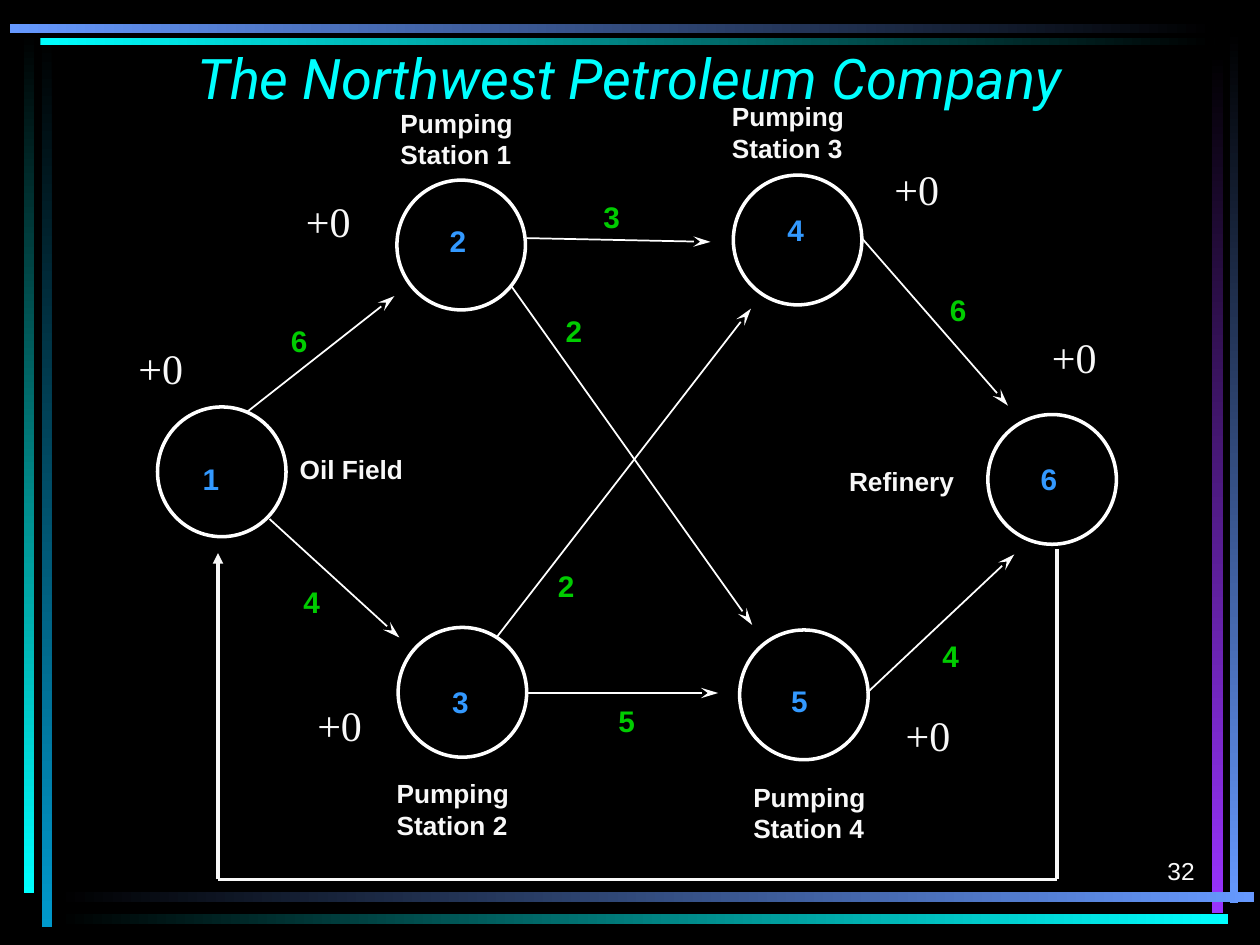
from typing import NamedTuple

from lxml.etree import SubElement
from pptx import Presentation
from pptx.dml.color import RGBColor as Rgb
from pptx.enum.shapes import MSO_CONNECTOR as Link, MSO_SHAPE as Kind
from pptx.enum.text import MSO_ANCHOR as Anchor, PP_ALIGN as Align
from pptx.oxml.ns import qn
from pptx.util import Inches, Pt

HUES = {
    "black": "000000", "white": "FFFFFF", "pale": "F8F8F8", "cyan": "00FFFF",
    "teal": "0099CC", "sky": "6699FF", "purple": "9933FF",
    "blue": "3399FF", "green": "00CC00",
}


class Bar(NamedTuple):
    x: float
    y: float
    w: float
    h: float
    start: str
    end: str


class Node(NamedTuple):
    x: float
    y: float
    num: str
    num_x: float
    num_y: float


class Label(NamedTuple):
    x: float
    y: float
    text: str


class Arc(NamedTuple):
    x1: float
    y1: float
    x2: float
    y2: float


BARS = [
    Bar(0.33, 0.28, 0.08, 7.08, "black", "teal"),
    Bar(0.19, 0.25, 0.08, 6.84, "black", "cyan"),
    Bar(9.76, 0.24, 0.07, 6.93, "black", "sky"),
    Bar(9.62, 0.42, 0.09, 6.83, "black", "purple"),
    Bar(0.45, 7.08, 9.5, 0.08, "black", "sky"),
    Bar(0.45, 7.25, 9.3, 0.08, "black", "cyan"),
    Bar(0.32, 0.3, 9.32, 0.06, "cyan", "black"),
    Bar(0.08, 0.19, 9.56, 0.07, "sky", "black"),
]
NODES = [
    Node(1.25, 3.23, "1", 1.51, 3.61),
    Node(3.15, 1.43, "2", 3.47, 1.72),
    Node(3.16, 4.98, "3", 3.49, 5.38),
    Node(5.82, 1.39, "4", 6.15, 1.63),
    Node(5.87, 5.0, "5", 6.18, 5.37),
    Node(7.84, 3.29, "6", 8.16, 3.61),
]
STATIONS = [
    Label(3.08, 0.8, "Station 1"), Label(3.05, 6.12, "Station 2"),
    Label(5.71, 0.75, "Station 3"), Label(5.88, 6.15, "Station 4"),
]
ENDS = [Label(2.28, 3.55, "Oil Field"), Label(6.64, 3.64, "Refinery")]
ARCS = [
    Arc(1.96, 3.27, 3.13, 2.35), Arc(2.14, 4.12, 3.17, 5.06),
    Arc(4.18, 1.89, 5.64, 1.92), Arc(4.18, 5.5, 5.7, 5.5),
    Arc(6.84, 1.89, 8.0, 3.22), Arc(6.88, 5.5, 8.05, 4.4),
    Arc(4.05, 2.26, 5.97, 4.96), Arc(3.94, 5.06, 5.96, 2.45),
]
FLOWS = [
    Label(2.21, 2.51, "6"), Label(2.31, 4.58, "4"), Label(4.69, 1.53, "3"),
    Label(7.44, 2.27, "6"), Label(7.38, 5.01, "4"), Label(4.81, 5.53, "5"),
    Label(4.39, 2.43, "2"), Label(4.33, 4.46, "2"),
]
GAINS = [(2.33, 1.5), (1, 2.67), (7, 1.25), (8.25, 2.58), (7.09, 5.58), (2.42, 5.5)]
LOOP = [(8.39, 4.36), (8.39, 6.98), (1.73, 6.98), (1.73, 4.39)]


def color(name: str) -> Rgb:
    return Rgb.from_string(HUES[name])


def add_bar(shapes, bar: Bar) -> None:
    """Draw a frame bar that fades along its longer side."""
    shape = shapes.add_shape(Kind.RECTANGLE, *map(Inches, bar[:4]))
    shape.shadow.inherit = False
    shape.line.fill.background()
    shape.fill.gradient()
    shape.fill.gradient_angle = 0 if bar.w > bar.h else 270
    for stop, name in zip(shape.fill.gradient_stops, (bar.start, bar.end)):
        stop.color.rgb = color(name)


def add_text(shapes, text: str, x: float, y: float, w: float, h: float, *,
             size: int, hue: str = "pale", face: str = "Arial",
             bold: bool = False, italic: bool = False, wrap: bool = False,
             align=Align.LEFT, anchor=Anchor.TOP) -> None:
    frame = shapes.add_textbox(*map(Inches, (x, y, w, h))).text_frame
    frame.word_wrap = wrap
    frame.vertical_anchor = anchor
    para = frame.paragraphs[0]
    para.alignment = align
    run = para.add_run()
    run.text = text
    font = run.font
    font.name, font.size, font.bold, font.italic = face, Pt(size), bold, italic
    font.color.rgb = color(hue)


def add_ring(shapes, node: Node) -> None:
    ring = shapes.add_shape(Kind.OVAL, *map(Inches, (node.x, node.y, 1.02, 1.03)))
    ring.shadow.inherit = False
    ring.fill.background()
    ring.line.color.rgb = color("white")
    ring.line.width = Pt(2)


def add_line(shapes, arc: Arc, hue: str, width: float,
             head: str = "none", length: str = "med") -> None:
    line = shapes.add_connector(Link.STRAIGHT, *map(Inches, arc))
    line.line.color.rgb = color(hue)
    line.line.width = Pt(width)
    SubElement(line.line._get_or_add_ln(), qn("a:tailEnd"), type=head, len=length)
    SubElement(line._element.spPr, qn("a:effectLst"))


def main() -> None:
    deck = Presentation()
    deck.slide_width, deck.slide_height = Inches(10), Inches(7.5)
    slide = deck.slides.add_slide(deck.slide_layouts[6])
    back = slide.background.fill
    back.solid()
    back.fore_color.rgb = color("black")
    shapes = slide.shapes

    for bar in BARS:
        add_bar(shapes, bar)
    add_text(shapes, "The Northwest Petroleum Company", 0.75, 0.33, 8.5, 0.56,
             size=32, hue="cyan", face="Roboto", italic=True, wrap=True,
             align=Align.CENTER, anchor=Anchor.MIDDLE)

    for node in NODES:
        add_ring(shapes, node)
    for end in ENDS:
        add_text(shapes, end.text, end.x, end.y, 1.1, 0.35, size=15, bold=True)
    for place in STATIONS:
        for row, text in enumerate(("Pumping", place.text)):
            add_text(shapes, text, place.x, place.y + row * 0.25, 1.15, 0.35,
                     size=15, bold=True)

    for arc in ARCS:
        add_line(shapes, arc, "white", 1, "stealth", "lg")
    for node in NODES:
        add_text(shapes, node.num, node.num_x, node.num_y, 0.35, 0.38,
                 size=17, hue="blue", bold=True)
    for flow in FLOWS:
        add_text(shapes, flow.text, flow.x, flow.y, 0.35, 0.38,
                 size=17, hue="green", bold=True)

    heads = ("none", "none", "triangle")
    for start, end, head in zip(LOOP, LOOP[1:], heads):
        add_line(shapes, Arc(*start, *end), "pale", 2, head)
    for x, y in GAINS:
        add_text(shapes, "+0", x, y, 0.67, 0.5, size=24, face="Times New Roman")
    add_text(shapes, "32", 7.5, 6.58, 2.08, 0.5, size=14, wrap=True,
             align=Align.RIGHT, anchor=Anchor.BOTTOM)
    deck.save("out.pptx")


if __name__ == "__main__":
    main()
